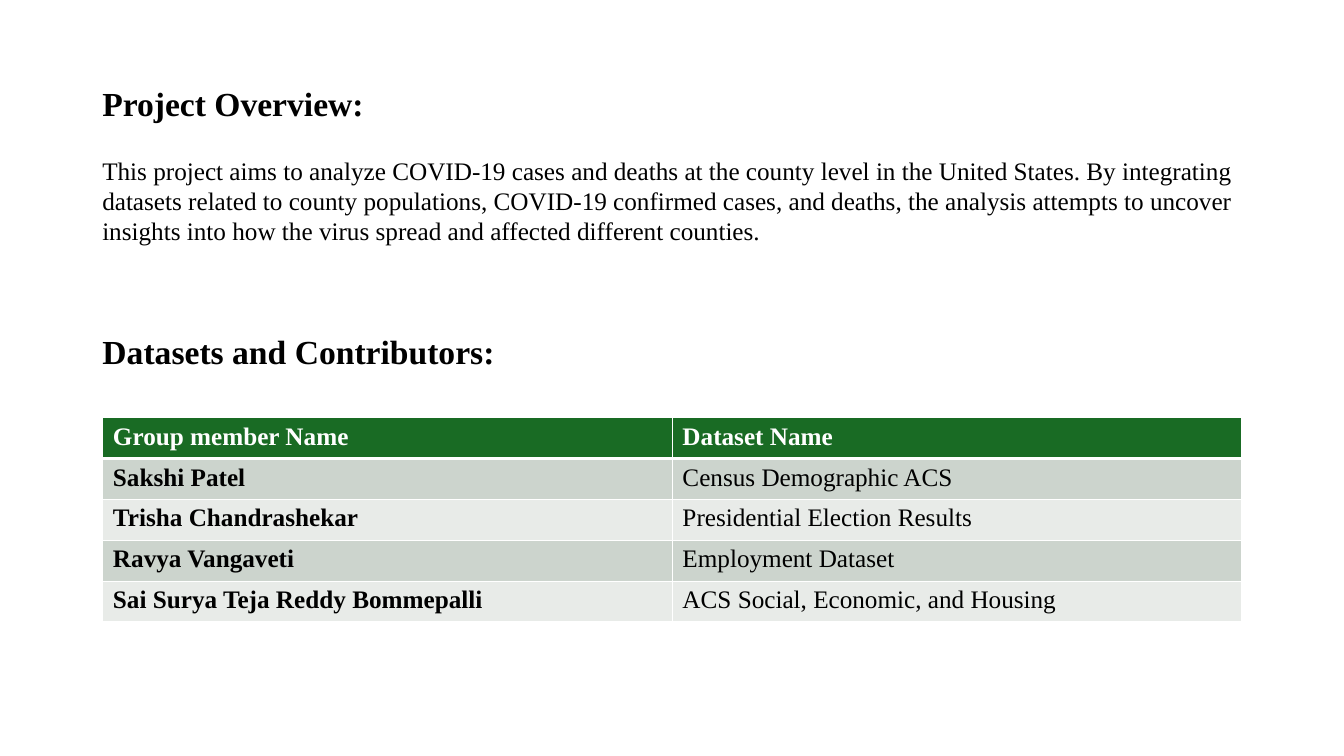
import pptx
import pptx.dml.color
import pptx.enum.text
import pptx.oxml.ns
import pptx.util
from lxml import etree

Pt = pptx.util.Pt
FONT = "Times New Roman"
COLORS = {
    "text": "000000",
    "header_text": "FFFFFF",
    "header": "196B24",
    "odd_row": "CCD4CD",
    "even_row": "E8EBE8",
    "border": "FFFFFF",
}
OVERVIEW = (
    "This project aims to analyze COVID-19 cases and deaths at the county level "
    "in the United States. By integrating datasets related to county populations, "
    "COVID-19 confirmed cases, and deaths, the analysis attempts to uncover "
    "insights into how the virus spread and affected different counties."
)
CONTRIBUTORS = [
    ("Group member Name", "Dataset Name"),
    ("Sakshi Patel", "Census Demographic ACS"),
    ("Trisha Chandrashekar", "Presidential Election Results"),
    ("Ravya Vangaveti", "Employment Dataset"),
    ("Sai Surya Teja Reddy Bommepalli", "ACS Social, Economic, and Housing"),
]


def rgb(name):
    return pptx.dml.color.RGBColor.from_string(COLORS[name])


def add_span(para, text, size, bold=False, color="text"):
    para.alignment = pptx.enum.text.PP_ALIGN.LEFT
    span = para.add_run()
    span.text = text
    span.font.name = FONT
    span.font.size = Pt(size)
    span.font.bold = bold
    span.font.color.rgb = rgb(color)


def add_title(slide, text):
    title = slide.shapes.title
    title.left, title.top, title.width, title.height = Pt(66), Pt(217.5), Pt(828), Pt(70.5)
    frame = title.text_frame
    frame.word_wrap = True
    frame.vertical_anchor = pptx.enum.text.MSO_ANCHOR.MIDDLE
    para = frame.paragraphs[0]
    para.line_spacing = 0.9
    add_span(para, text, 24, bold=True)


def add_overview(slide, heading, body):
    box = slide.shapes.add_textbox(Pt(66), Pt(55.5), Pt(828), Pt(126))
    frame = box.text_frame
    frame.word_wrap = True
    add_span(frame.paragraphs[0], heading, 24, bold=True)
    para = frame.add_paragraph()
    para.space_before = Pt(23)
    add_span(para, body, 18)


def set_borders(cell, bottom_width):
    """Draw all four cell borders; call before filling the cell."""
    properties = cell._tc.get_or_add_tcPr()
    qn = pptx.oxml.ns.qn
    for side, width in (("L", 1), ("R", 1), ("T", 1), ("B", bottom_width)):
        line = etree.SubElement(properties, qn(f"a:ln{side}"), w=str(Pt(width)))
        fill = etree.SubElement(line, qn("a:solidFill"))
        etree.SubElement(fill, qn("a:srgbClr"), val=COLORS["border"])


def add_contributor_table(slide, rows):
    row_height = Pt(29.2)
    frame = slide.shapes.add_table(
        len(rows), 2, Pt(73.5), Pt(298.3), Pt(813.6), row_height * len(rows))
    table = frame.table
    for row_index, texts in enumerate(rows):
        table.rows[row_index].height = row_height
        is_header = row_index == 0
        fill = "header" if is_header else ("odd_row" if row_index % 2 else "even_row")
        for column_index, text in enumerate(texts):
            cell = table.cell(row_index, column_index)
            set_borders(cell, 3 if is_header else 1)
            cell.fill.solid()
            cell.fill.fore_color.rgb = rgb(fill)
            add_span(
                cell.text_frame.paragraphs[0], text, 18,
                bold=is_header or column_index == 0,
                color="header_text" if is_header else "text")


def main():
    deck = pptx.Presentation()
    deck.slide_width, deck.slide_height = Pt(960), Pt(540)
    slide = deck.slides.add_slide(deck.slide_layouts.get_by_name("Title Only"))
    add_title(slide, "Datasets and Contributors:")
    add_contributor_table(slide, CONTRIBUTORS)
    add_overview(slide, "Project Overview:", OVERVIEW)
    deck.save("out.pptx")


if __name__ == "__main__":
    main()
